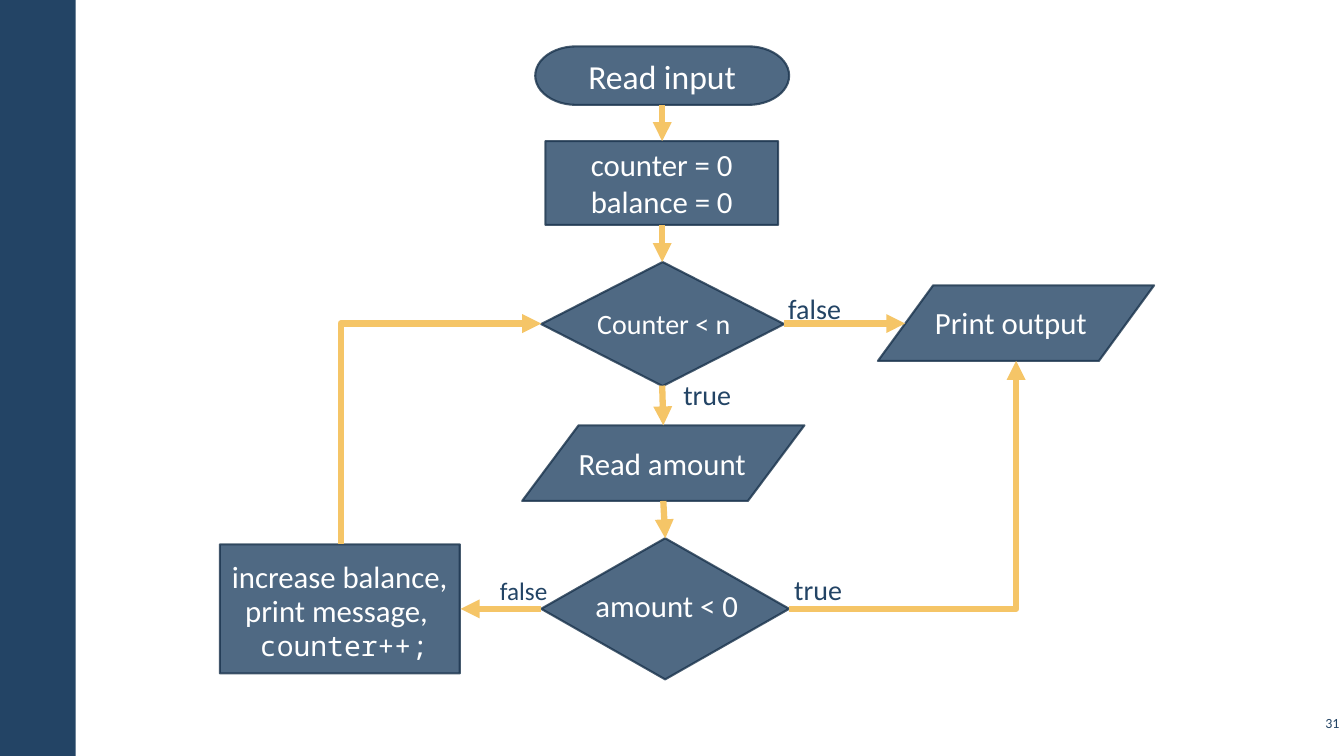
from lxml import etree
from pptx import Presentation
from pptx.dml.color import RGBColor
from pptx.enum.shapes import MSO_CONNECTOR, MSO_SHAPE
from pptx.enum.text import MSO_ANCHOR, MSO_AUTO_SIZE, PP_ALIGN
from pptx.oxml.ns import qn
from pptx.util import Pt

NAVY = RGBColor(0x23, 0x44, 0x65)
EDGE = RGBColor(0x1A, 0x33, 0x4C)
GOLD = RGBColor(0xF5, 0xC5, 0x67)
WHITE = RGBColor(0xFF, 0xFF, 0xFF)
LEFT, MID, RIGHT = PP_ALIGN.LEFT, PP_ALIGN.CENTER, PP_ALIGN.RIGHT
CENTER = MSO_ANCHOR.MIDDLE
GROW = MSO_AUTO_SIZE.SHAPE_TO_FIT_TEXT
STRAIGHT, ELBOW = MSO_CONNECTOR.STRAIGHT, MSO_CONNECTOR.ELBOW
RECT = MSO_SHAPE.RECTANGLE
START = MSO_SHAPE.FLOWCHART_TERMINATOR
STEP = MSO_SHAPE.FLOWCHART_PROCESS
TEST = MSO_SHAPE.FLOWCHART_DECISION
DATA = MSO_SHAPE.FLOWCHART_DATA
SANS, MONO = "Calibri", "Noto Sans Mono"

BASE = {"size": 22, "font": SANS, "color": WHITE, "align": MID, "wrap": True,
        "inset": (7.2, 3.6), "space": None, "anchor": MSO_ANCHOR.TOP, "fit": GROW}
TAG = {"size": 20, "color": NAVY, "align": LEFT, "inset": (11.52, 8.64), "space": 1.1}
TIGHT = {"wrap": False}

SOLO = [
    (START, (382.3, 33.1, 181.4, 41.8), ["Read input"], 24),
    (STEP, (389.5, 100.8, 166.3, 59.8), ["counter = 0", "balance = 0"], 22),
]
GROUPS = [
    (TEST, (386.6, 187.2, 173.5, 88.6), [
        ("Counter < n", (387.4, 215.3, 173.5, 31.7), {"size": 20})]),
    (DATA, (373, 303.8, 201.6, 54), [
        ("Read amount", (380.9, 313.9, 184.3, 33.8), {})]),
    (TEST, (386.6, 384.5, 177.1, 100.8), [
        ("amount < 0", (405.4, 415.4, 141.8, 33.8), {})]),
    (STEP, (157, 388.8, 171.4, 92.2), [
        ("counter++;", (178.6, 445.7, 157, 20.9),
         {"size": 20, "font": MONO, "align": LEFT}),
        ("print message,", (167, 419, 146.9, 33.8), TIGHT),
        ("increase balance,", (157.7, 394.6, 169.9, 33.8), TIGHT)]),
    (DATA, (627.1, 203.8, 197.3, 54), [
        ("Print output", (660.2, 213.1, 123.8, 33.8), TIGHT)]),
]
TAGS = [
    ("true", (476.6, 258.5, 70.6, 43.9), {}),
    ("false", (551.5, 197.3, 61.2, 42.5), TIGHT),
    ("true", (555.8, 398.2, 59.8, 43.9), {}),
    ("false", (345.6, 400.3, 56.9, 40.3), {"size": 18, "wrap": False}),
]
ARROWS = [
    (STRAIGHT, (473, 74.9, 473, 100.8), "tailEnd"),
    (STRAIGHT, (473, 160.6, 473, 187.2), "tailEnd"),
    (STRAIGHT, (473, 275.4, 473.8, 303.8), "tailEnd"),
    (STRAIGHT, (560.2, 231.1, 646.6, 231.1), "tailEnd"),
    (STRAIGHT, (473.8, 357.8, 475.2, 384.5), "tailEnd"),
    (STRAIGHT, (386.6, 434.9, 329, 434.9), "tailEnd"),
    (ELBOW, (386.6, 231.1, 243.4, 388.8), "headEnd"),
    (ELBOW, (563.8, 434.9, 725.8, 257.8), "tailEnd"),
]
PAGE = ("31", (925.9, 504, 33.8, 24.5),
        {"size": 10, "color": NAVY, "align": RIGHT, "inset": (2.88, 2.88),
         "anchor": CENTER, "fit": MSO_AUTO_SIZE.NONE})


def points(box):
    return [Pt(n) for n in box]


def write(shape, lines, form):
    form = BASE | form
    frame = shape.text_frame
    side, top = points(form["inset"])
    look = {"word_wrap": form["wrap"], "auto_size": form["fit"],
            "vertical_anchor": form["anchor"], "margin_left": side,
            "margin_right": side, "margin_top": top, "margin_bottom": top}
    for key, value in look.items():
        setattr(frame, key, value)
    frame.text = "\n".join(lines)
    for para in frame.paragraphs:
        para.alignment = form["align"]
        para.line_spacing = form["space"]
        font = para.runs[0].font
        font.name, font.size = form["font"], Pt(form["size"])
        font.color.rgb = form["color"]


def label(home, text, box, form):
    write(home.add_textbox(*points(box)), [text], form)


def node(home, kind, box):
    shape = home.add_shape(kind, *points(box))
    shape.shadow.inherit = False
    shape.fill.solid()
    shape.fill.fore_color.rgb = NAVY
    shape.line.color.rgb = EDGE
    shape.line.width = Pt(1.5)
    for color in shape.element.spPr.iter(qn("a:srgbClr")):
        etree.SubElement(color, qn("a:alpha"), val="80000")
    return shape


def arrow(home, kind, ends, tip):
    link = home.add_connector(kind, *points(ends))
    link.line.color.rgb = GOLD
    link.line.width = Pt(4.5)
    props = link.element.spPr
    if kind == ELBOW:
        props.find(qn("a:prstGeom")).set("prst", "bentConnector2")
    etree.SubElement(props.find(qn("a:ln")), qn(f"a:{tip}"), type="triangle")
    etree.SubElement(props, qn("a:effectLst"))


def main():
    deck = Presentation()
    deck.slide_width, deck.slide_height = Pt(960), Pt(540)
    shapes = deck.slides.add_slide(deck.slide_layouts[6]).shapes

    bar = shapes.add_shape(RECT, *points((0, 0, 54, 540)))
    bar.shadow.inherit = False
    bar.fill.solid()
    bar.fill.fore_color.rgb = NAVY
    bar.line.fill.background()
    label(shapes, *PAGE)

    for kind, box, lines, size in SOLO:
        write(node(shapes, kind, box), lines,
              {"size": size, "anchor": CENTER, "fit": MSO_AUTO_SIZE.NONE})
    for kind, box, texts in GROUPS:
        group = shapes.add_group_shape().shapes
        node(group, kind, box)
        for text in texts:
            label(group, *text)
    for item in ARROWS:
        arrow(shapes, *item)
    for text, box, form in TAGS:
        label(shapes, text, box, TAG | form)

    deck.save("out.pptx")


if __name__ == "__main__":
    main()
